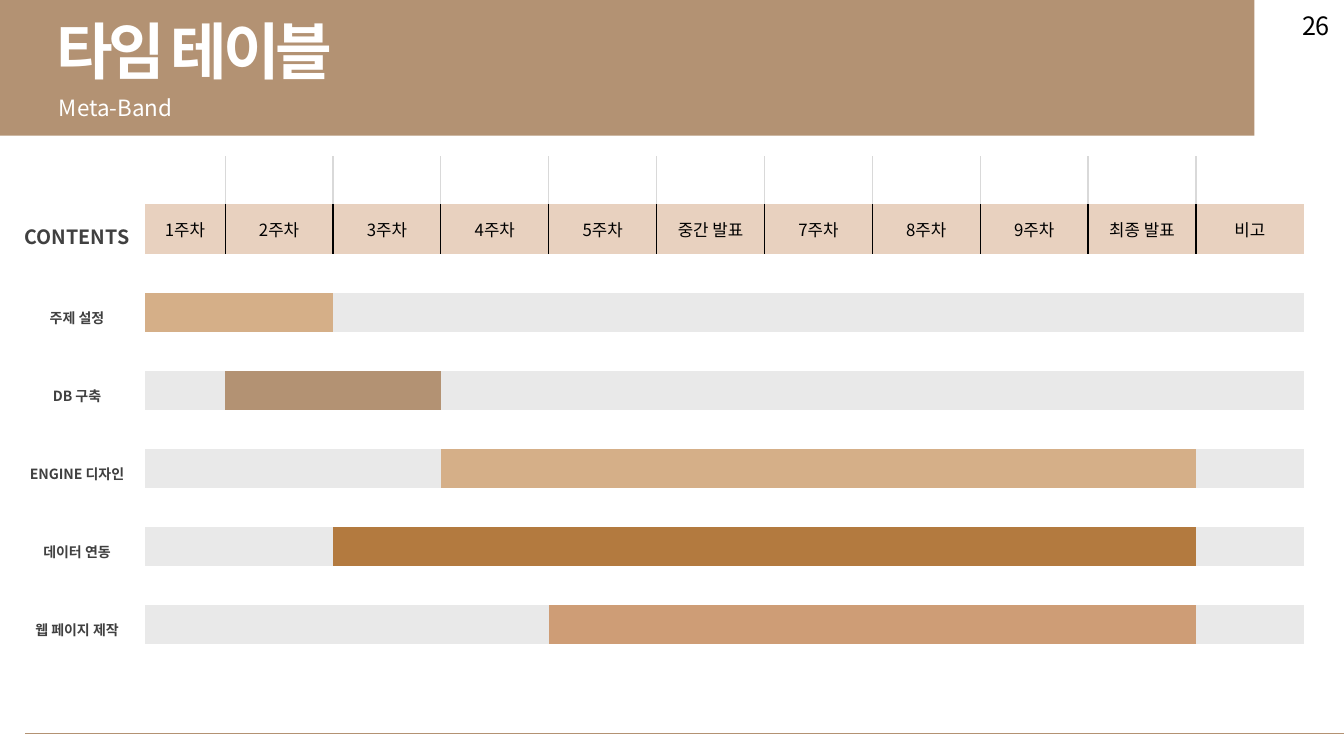
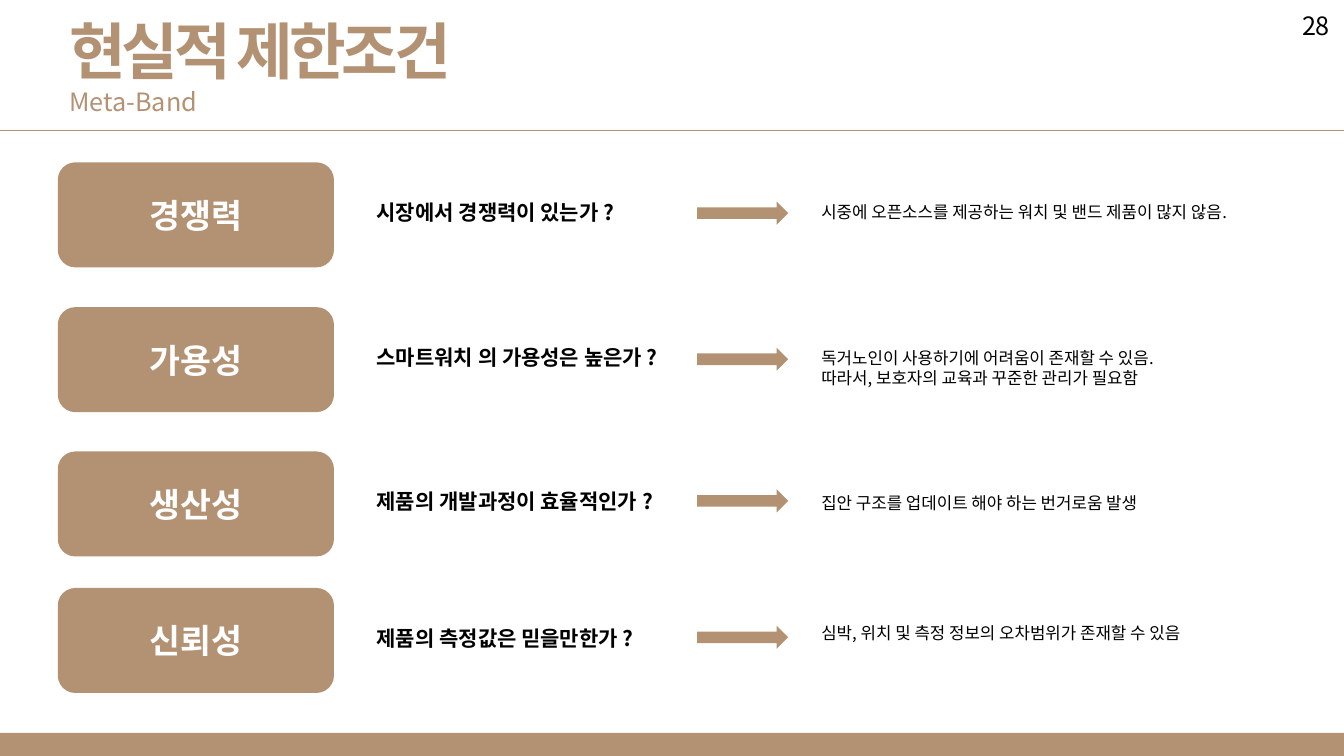
import pptx
import pptx.dml.color
import pptx.enum.shapes
import pptx.enum.text
import pptx.util
from lxml import etree
from pptx.oxml.ns import qn

Pt = pptx.util.Pt
SHAPE = pptx.enum.shapes.MSO_SHAPE
ALIGN = pptx.enum.text.PP_ALIGN
MIDDLE = pptx.enum.text.MSO_ANCHOR.MIDDLE

FONT = "Noto Sans CJK KR"
COLORS = {
    "brand": "B39273", "sand": "D5AF88", "copper": "B37A3F", "clay": "CE9D76",
    "header": "E8D1BF", "track": "E9E9E9", "grid": "D9D9D9",
    "label": "404040", "black": "000000", "white": "FFFFFF",
}
NO_STYLE = "{2D5ABB26-0587-4C30-8999-92F81FD0307C}"
WIDTH, HEIGHT = 960, 540


def rgb(name):
    return pptx.dml.color.RGBColor.from_string(COLORS[name])


def write(frame, text, size=12, color="black", bold=False, align=ALIGN.LEFT,
          line_spacing=None, tracking=None):
    """Fill a text frame, one paragraph per line of text."""
    for index, line in enumerate(text.split("\n")):
        paragraph = frame.add_paragraph() if index else frame.paragraphs[0]
        paragraph.alignment = align
        if line_spacing:
            paragraph.line_spacing = line_spacing
        run = paragraph.add_run()
        run.text = line
        run.font.size, run.font.bold, run.font.name = Pt(size), bold, FONT
        run.font.color.rgb = rgb(color)
        properties = run.font._element
        etree.SubElement(properties, qn("a:ea"), typeface=FONT)
        if tracking is not None:
            properties.set("spc", str(int(tracking * 100)))


class Deck:
    """Holds the shared style and the current slide."""

    def __init__(self):
        self.file = pptx.Presentation()
        self.file.slide_width, self.file.slide_height = Pt(WIDTH), Pt(HEIGHT)
        self.slide = None

    def new_slide(self):
        self.slide = self.file.slides.add_slide(self.file.slide_layouts[6])

    def page_number(self, number):
        self.text(920, 3.5, 40, 29, str(number), size=18, align=ALIGN.CENTER)

    def title(self, left, text, color):
        self.text(left, 6, 400, 60, text, size=44, bold=True, color=color, tracking=-3)

    def text(self, left, top, width, height, text, **style):
        frame = self.slide.shapes.add_textbox(Pt(left), Pt(top), Pt(width), Pt(height)).text_frame
        frame.word_wrap = True
        write(frame, text, **style)

    def shape(self, kind, left, top, width, height, text=None, **style):
        shape = self.slide.shapes.add_shape(kind, Pt(left), Pt(top), Pt(width), Pt(height))
        shape.shadow.inherit = False
        shape.fill.solid()
        shape.fill.fore_color.rgb = rgb("brand")
        shape.line.fill.background()
        if text:
            shape.text_frame.vertical_anchor = MIDDLE
            write(shape.text_frame, text, align=ALIGN.CENTER, **style)

    def rule(self, left, top):
        line = self.slide.shapes.add_connector(
            pptx.enum.shapes.MSO_CONNECTOR.STRAIGHT, Pt(left), Pt(top), Pt(WIDTH), Pt(top))
        line.line.color.rgb, line.line.width = rgb("brand"), Pt(0.5)
        etree.SubElement(line._element.spPr, qn("a:effectLst"))

    def table(self, left, top, widths, heights):
        """Add a plain table without borders, fills or cell margins."""
        table = self.slide.shapes.add_table(
            len(heights), len(widths), Pt(left), Pt(top), Pt(sum(widths)), Pt(sum(heights))).table
        table.first_row = table.horz_banding = False
        table._tbl.tblPr.find(qn("a:tableStyleId")).text = NO_STYLE
        for column, width in zip(table.columns, widths):
            column.width = Pt(width)
        for row, height in zip(table.rows, heights):
            row.height = Pt(height)
        for cell in table.iter_cells():
            cell.margin_left = cell.margin_right = cell.margin_top = cell.margin_bottom = 0
            cell.vertical_anchor = MIDDLE
            cell.fill.background()
            # Keeps empty rows from growing
            etree.SubElement(cell.text_frame.paragraphs[0]._p, qn("a:endParaRPr"), sz="1000")
        return table

    def cell_border(self, cell, sides, color):
        properties = cell._tc.get_or_add_tcPr()
        for position, side in enumerate(sides):
            line = etree.Element(qn("a:ln" + side), w=str(Pt(1)))
            fill = etree.SubElement(line, qn("a:solidFill"))
            etree.SubElement(fill, qn("a:srgbClr"), val=COLORS[color])
            properties.insert(position, line)

    def cell_fill(self, cell, color):
        cell.fill.solid()
        cell.fill.fore_color.rgb = rgb(color)


def timetable(deck):
    deck.new_slide()
    # Title band and footer rule
    deck.shape(SHAPE.RECTANGLE, 0, -0.5, 896, 97.5)
    deck.rule(18, 524)
    deck.title(33, "타임 테이블", "white")
    deck.text(35, 64, 120, 27, "Meta-Band", size=16, color="white")
    deck.page_number(26)

    # Week headings
    weeks = ["1주차", "2주차", "3주차", "4주차", "5주차", "중간 발표",
             "7주차", "8주차", "9주차", "최종 발표", "비고"]
    last = len(weeks)
    schedule = deck.table(6.5, 111.6, [97, 57.4] + [77.07] * 10, [34.3, 35.7] + [27.86] * 11)
    write(schedule.cell(1, 0).text_frame, "CONTENTS", size=14, color="label", bold=True,
          align=ALIGN.CENTER, line_spacing=1.5)
    for column, week in enumerate(weeks, 1):
        sides = "R" if column == 1 else "L" if column == last else "LR"
        heading = schedule.cell(1, column)
        deck.cell_border(schedule.cell(0, column), sides, "grid")
        deck.cell_border(heading, sides, "black")
        deck.cell_fill(heading, "header")
        write(heading.text_frame, week, align=ALIGN.CENTER)

    # Tasks: name, first and last week column, bar colour
    tasks = [
        ("주제 설정", 1, 2, "sand"),
        ("DB 구축", 2, 3, "brand"),
        ("ENGINE 디자인", 4, 10, "sand"),
        ("데이터 연동", 3, 10, "copper"),
        ("웹 페이지 제작", 5, 10, "clay"),
    ]
    for index, (task, start, end, color) in enumerate(tasks):
        row = 3 + 2 * index
        write(schedule.cell(row, 0).text_frame, task, size=10, color="label", bold=True,
              align=ALIGN.CENTER, line_spacing=1.5)
        for column in range(1, last + 1):
            deck.cell_fill(schedule.cell(row, column), color if start <= column <= end else "track")
        for first, final in ((start, end), (end + 1, last)):
            if first < final:
                schedule.cell(row, first).merge(schedule.cell(row, final))


def constraints(deck):
    deck.new_slide()
    # Title, rule and footer band
    deck.shape(SHAPE.RECTANGLE, 0, 523.5, WIDTH, 16.5)
    deck.rule(0, 93)
    deck.text(42.5, 58.3, 480, 29, "Meta-Band", size=18, color="brand")
    deck.title(42.5, "현실적 제한조건", "brand")
    deck.page_number(28)

    # Rows: card top, arrow top, answer top, then the wording
    rows = [
        (116, 144, 140.4, "경쟁력", "시장에서 경쟁력이 있는가 ?",
         "시중에 오픈소스를 제공하는 워치 및 밴드 제품이 많지 않음."),
        (219.4, 248.4, 244.8, "가용성", "스마트워치 의 가용성은 높은가 ?",
         "독거노인이 사용하기에 어려움이 존재할 수 있음.\n"
         "따라서, 보호자의 교육과 꾸준한 관리가 필요함"),
        (322.5, 349.5, 348.5, "생산성", "제품의 개발과정이 효율적인가 ?",
         "집안 구조를 업데이트 해야 하는 번거로움 발생"),
        (420, 447, 441.4, "신뢰성", "제품의 측정값은 믿을만한가 ?",
         "심박, 위치 및 측정 정보의 오차범위가 존재할 수 있음"),
    ]
    for card_top, arrow_top, answer_top, criterion, question, answer in rows:
        deck.shape(SHAPE.ROUNDED_RECTANGLE, 41.3, card_top, 197.3, 75, criterion,
                   size=24, color="white", bold=True)
        deck.text(262, card_top + 23, 250, 25, question, size=15, bold=True)
        deck.shape(SHAPE.RIGHT_ARROW, 498, arrow_top, 65, 16.5)
        deck.text(579.6, answer_top, 340, 22, answer)


def main():
    deck = Deck()
    timetable(deck)
    constraints(deck)
    deck.file.save("out.pptx")


if __name__ == "__main__":
    main()
